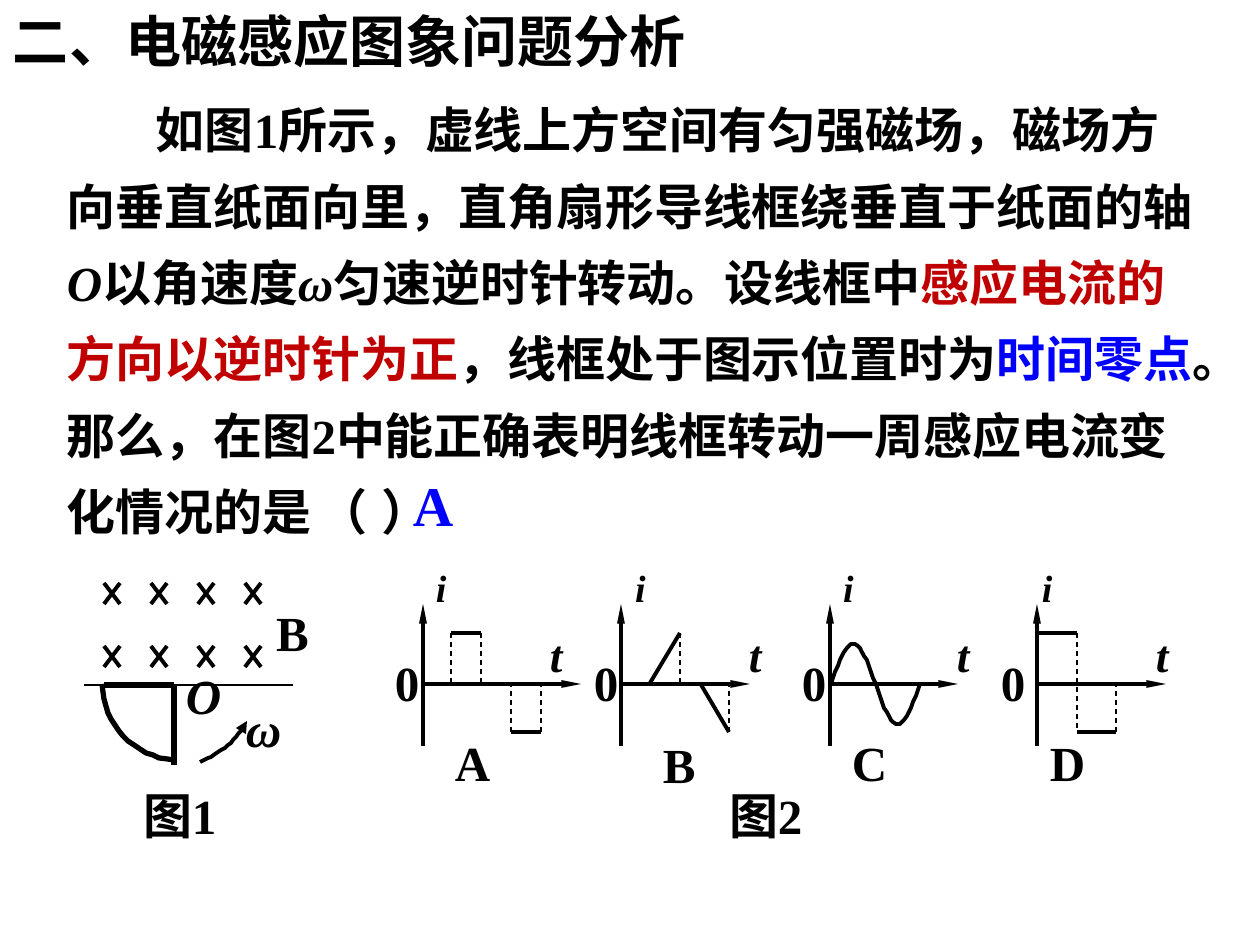
import dataclasses
import math

import lxml.etree
import pptx
import pptx.dml.color
import pptx.enum.dml
import pptx.enum.shapes
import pptx.oxml.ns
import pptx.util

EMU_PER_PX = 914400 / 126
Point = tuple[float, float]


@dataclasses.dataclass(frozen=True)
class Theme:
    black: str = "000000"
    red: str = "C00000"
    blue: str = "0000FF"
    latin: str = "Times New Roman"
    chinese: str = "Noto Sans CJK SC"
    heading: float = 32
    body: float = 28
    axis_i: float = 21.7
    axis_t: float = 25.9
    thin: float = 0.75
    medium: float = 2.25
    thick: float = 3


THEME = Theme()


@dataclasses.dataclass(frozen=True)
class Run:
    text: str
    color: str = THEME.black
    italic: bool = False


@dataclasses.dataclass(frozen=True)
class Stroke:
    start: Point
    end: Point
    dashed: bool = False


@dataclasses.dataclass(frozen=True)
class Graph:
    caption: str
    caption_at: Point
    zero_left: int
    axis_x: int
    axis_end: int
    strokes: tuple[Stroke, ...] = ()


AXIS_Y, HIGH, LOW, NEAR_AXIS = 684, 633, 732, 683

PROBLEM = [
    Run("如图1所示，虚线上方空间有匀强磁场，磁场方向垂直纸面向里，直角扇形导线框绕垂直于纸面的轴"),
    Run("O", italic=True),
    Run("以角速度"),
    Run("ω", italic=True),
    Run("匀速逆时针转动。设线框中"),
    Run("感应电流的方向以逆时针为正", THEME.red),
    Run("，线框处于图示位置时为"),
    Run("时间零点", THEME.blue),
    Run("。那么，在图2中能正确表明线框转动一周感应电流变化情况的是\t（\t）"),
]


def drop(x: int, level: int) -> Stroke:
    """Dashed line from a current level back to the time axis."""
    return Stroke((x, level), (x, NEAR_AXIS), dashed=True)


GRAPHS = [
    Graph("A", (442, 726), 382, 423, 581, (
        Stroke((451, HIGH), (481, HIGH)), drop(451, HIGH), drop(481, HIGH),
        Stroke((511, LOW), (541, LOW)), drop(511, LOW), drop(541, LOW))),
    Graph("B", (650, 728), 581, 621, 750, (
        Stroke((650, NEAR_AXIS), (680, HIGH)), drop(680, HIGH),
        Stroke((700, NEAR_AXIS), (729, LOW)), drop(729, LOW))),
    Graph("C", (839, 726), 789, 830, 958),
    Graph("D", (1037, 726), 988, 1037, 1166, (
        Stroke((1037, HIGH), (1077, HIGH)), Stroke((1077, LOW), (1116, LOW)),
        Stroke((1077, HIGH), (1077, LOW), dashed=True), drop(1116, LOW))),
]


def px(length: float) -> pptx.util.Emu:
    return pptx.util.Emu(round(length * EMU_PER_PX))


def sub(parent, tag: str, **attributes: str):
    return lxml.etree.SubElement(parent, pptx.oxml.ns.qn(tag), attributes)


def add_text(slide, content, left, top, width, height, *, size=THEME.body,
             color=THEME.black, font=THEME.latin, italic=False, inset=(13, 6),
             spacing=None, indent=0, tabs=()) -> None:
    box = slide.shapes.add_textbox(px(left), px(top), px(width), px(height))
    frame = box.text_frame
    frame.word_wrap = True
    frame.margin_left = frame.margin_right = px(inset[0])
    frame.margin_top = frame.margin_bottom = px(inset[1])
    paragraph = frame.paragraphs[0]
    properties = paragraph._p.get_or_add_pPr()
    if indent:
        properties.set("marL", "0")
        properties.set("indent", str(px(indent)))
    if tabs:
        stops = sub(properties, "a:tabLst")
        for stop in tabs:
            sub(stops, "a:tab", pos=str(px(stop)), algn="l")
    if spacing:
        paragraph.line_spacing = spacing
    runs = [Run(content, color, italic)] if isinstance(content, str) else content
    for part in runs:
        run = paragraph.add_run()
        run.text = part.text
        run.font.size = pptx.util.Pt(size)
        run.font.bold = True
        run.font.italic = part.italic
        run.font.color.rgb = pptx.dml.color.RGBColor.from_string(part.color)
        run.font.name = font
        sub(run._r.get_or_add_rPr(), "a:ea", typeface=THEME.chinese)


def style_line(shape, weight: float, dashed=False, arrow=None) -> None:
    """Set the outline; arrow is the width and length of a closing arrowhead."""
    shape.line.color.rgb = pptx.dml.color.RGBColor.from_string(THEME.black)
    shape.line.width = pptx.util.Pt(weight)
    if dashed:
        shape.line.dash_style = pptx.enum.dml.MSO_LINE.DASH
    if arrow:
        outline = shape._element.spPr.find(pptx.oxml.ns.qn("a:ln"))
        sub(outline, "a:tailEnd", type="triangle", w=arrow[0], len=arrow[1])


def add_line(slide, start: Point, end: Point, weight=THEME.medium, **style) -> None:
    line = slide.shapes.add_connector(
        pptx.enum.shapes.MSO_CONNECTOR.STRAIGHT, *map(px, (*start, *end)))
    style_line(line, weight, **style)
    sub(line._element.spPr, "a:effectLst")


def add_curve(slide, points: list[Point], weight=THEME.medium, **style) -> None:
    builder = slide.shapes.build_freeform(*points[0], scale=EMU_PER_PX)
    builder.add_line_segments(points[1:], close=False)
    curve = builder.convert_to_shape()
    curve.fill.background()
    curve.shadow.inherit = False
    style_line(curve, weight, **style)


def bezier(a: Point, b: Point, c: Point, d: Point, steps: int = 16) -> list[Point]:
    def at(t: float) -> Point:
        weights = ((1 - t) ** 3, 3 * t * (1 - t) ** 2, 3 * t * t * (1 - t), t ** 3)
        return tuple(sum(w * p[k] for w, p in zip(weights, (a, b, c, d)))
                     for k in (0, 1))
    return [at(n / steps) for n in range(steps + 1)]


def draw_graph(slide, graph: Graph) -> None:
    axis_arrow = ("sm", "lg")
    add_line(slide, (graph.axis_x, 746), (graph.axis_x, 604), arrow=axis_arrow)
    add_line(slide, (graph.axis_x, AXIS_Y), (graph.axis_end, AXIS_Y), arrow=axis_arrow)
    add_text(slide, "0", graph.zero_left, 646, 50, 72)
    add_text(slide, "i", graph.zero_left + 54, 573, 54, 48, size=THEME.axis_i,
             italic=True, inset=(0, 0), spacing=0.8)
    add_text(slide, "t", graph.zero_left + 168, 633, 26, 58, size=THEME.axis_t,
             italic=True, inset=(0, 0), spacing=0.9)
    for stroke in graph.strokes:
        add_line(slide, stroke.start, stroke.end,
                 THEME.thin if stroke.dashed else THEME.medium, dashed=stroke.dashed)
    add_text(slide, graph.caption, *graph.caption_at, 60, 72)


def draw_wire_frame(slide) -> None:
    """Rotating quarter-circle frame below the edge of the magnetic field."""
    add_curve(slide, bezier((102, 684), (103, 725), (134, 757), (174, 760)), THEME.thick)
    add_line(slide, (84, 685), (293, 685), THEME.thin)
    add_line(slide, (174, 765), (174, 685), THEME.thick)
    add_line(slide, (104, 685), (174, 685), THEME.thick)
    add_curve(slide, bezier((200, 762), (221, 753), (237, 740), (247, 721)),
              arrow=("med", "med"))
    for left in range(104, 246, 47):
        for top in (583, 646):
            add_line(slide, (left, top), (left + 16, top + 21))
            add_line(slide, (left + 16, top), (left, top + 21))
    add_text(slide, "O", 173, 659, 60, 72, italic=True)
    add_text(slide, "B", 263, 596, 58, 72)
    add_text(slide, "ω", 233, 692, 60, 72, italic=True)


def main() -> None:
    deck = pptx.Presentation()
    deck.slide_width, deck.slide_height = px(1260), px(945)
    slide = deck.slides.add_slide(deck.slide_layouts[6])
    add_text(slide, "二、电磁感应图象问题分析", 0, 0, 748, 81,
             size=THEME.heading, font=THEME.chinese)
    add_text(slide, PROBLEM, 54, 76, 1160, 471, spacing=1.3, indent=89, tabs=(378, 549))
    add_text(slide, "A", 400, 464, 65, 81, size=THEME.heading, color=THEME.blue)
    draw_wire_frame(slide)
    for graph in GRAPHS:
        draw_graph(slide, graph)
    sine = [(831 + 89 * n / 40, AXIS_Y - 40 * math.sin(math.tau * n / 40))
            for n in range(41)]
    add_curve(slide, sine)
    add_text(slide, "图1", 130, 779, 120, 72)
    add_text(slide, "图2", 716, 779, 120, 72)
    deck.save("out.pptx")


if __name__ == "__main__":
    main()
